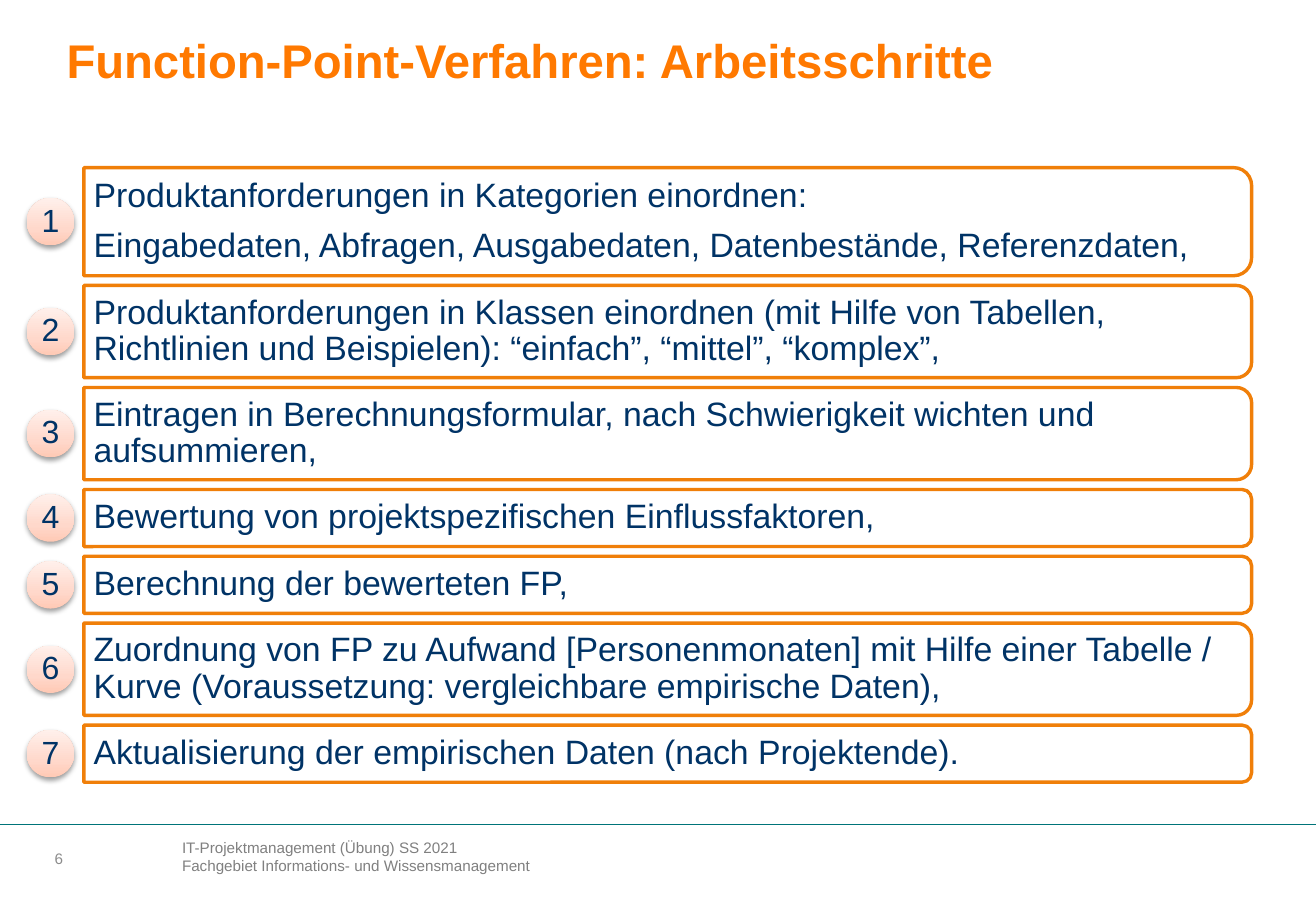
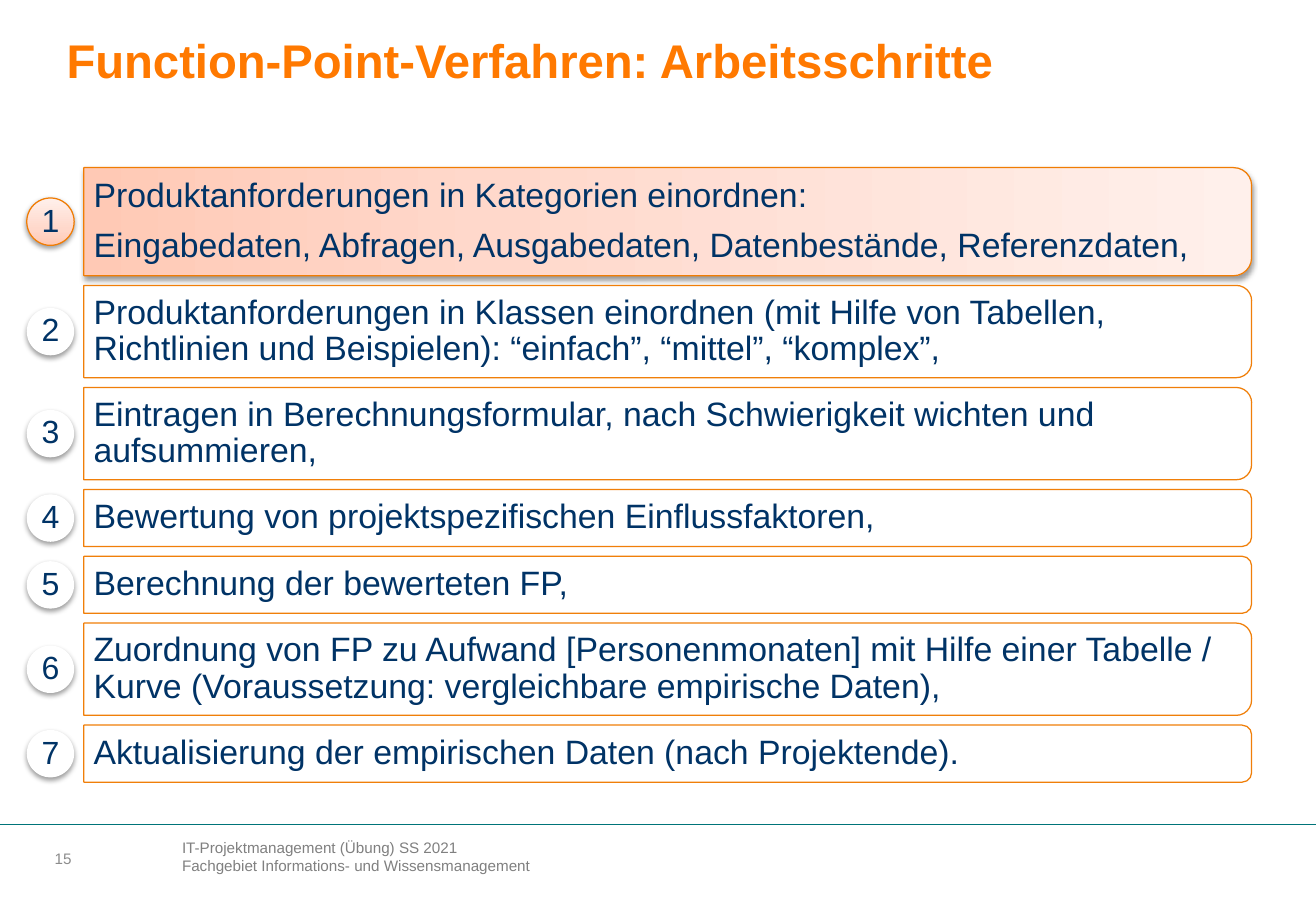
from copy import deepcopy

from lxml import etree
from pptx import Presentation
from pptx.dml.color import RGBColor
from pptx.enum.shapes import MSO_CONNECTOR, MSO_SHAPE
from pptx.enum.text import MSO_ANCHOR, PP_ALIGN
from pptx.oxml.ns import qn
from pptx.util import Inches, Pt

STRAIGHT = MSO_CONNECTOR.STRAIGHT
OVAL = MSO_SHAPE.OVAL
ROUNDED_TOP = MSO_SHAPE.ROUND_2_SAME_RECTANGLE
TOP, MIDDLE = MSO_ANCHOR.TOP, MSO_ANCHOR.MIDDLE
LEFT, CENTER = PP_ALIGN.LEFT, PP_ALIGN.CENTER

WHITE = RGBColor(0xFF, 0xFF, 0xFF)
TITLE_ORANGE = RGBColor(0xFF, 0x79, 0x00)
BAR_ORANGE = RGBColor(0xF0, 0x7F, 0x09)
ACTIVE_ORANGE = RGBColor(0xF0, 0x7C, 0x03)
NAVY = RGBColor(0x00, 0x33, 0x66)
TEAL = RGBColor(0x00, 0x74, 0x79)
FOOTER_GRAY = RGBColor(0x80, 0x80, 0x80)
NUMBER_GRAY = RGBColor(0x8C, 0x8C, 0x8C)
PEACH_STOPS = [
    (0, RGBColor(0xFF, 0xC9, 0xB5)),
    (0.35, RGBColor(0xFF, 0xD8, 0xCB)),
    (1, RGBColor(0xFF, 0xF0, 0xEB)),
]

FONT = "Arial"
SLIDE_WIDTH, SLIDE_HEIGHT = 10.83, 7.5
MARGIN = 0.45
FOOTER_TOP = 6.79
BAR_LEFT, BAR_WIDTH = 0.69, 9.61
FIRST_BAR_TOP, BAR_GAP = 1.38, 0.08
ONE_LINE, TWO_LINES, TWO_PARAGRAPHS = 0.47, 0.76, 0.89
BADGE_LEFT, BADGE_SIZE = 0.22, 0.39
STEP_INSETS = (0.08, 0.06)
STEP_SPACING = {"line_spacing": 0.9, "space_after": Pt(8)}

TITLE = "Function-Point-Verfahren: Arbeitsschritte"
FOOTER = [
    "IT-Projektmanagement (Übung) SS 2021",
    "Fachgebiet Informations- und Wissensmanagement",
]
STEPS = [
    (TWO_PARAGRAPHS, [
        "Produktanforderungen in Kategorien einordnen:",
        "Eingabedaten, Abfragen, Ausgabedaten, Datenbestände, Referenzdaten,",
    ]),
    (TWO_LINES, [
        "Produktanforderungen in Klassen einordnen (mit Hilfe von Tabellen, "
        "Richtlinien und Beispielen): “einfach”, “mittel”, “komplex”,",
    ]),
    (TWO_LINES, [
        "Eintragen in Berechnungsformular, nach Schwierigkeit wichten und "
        "aufsummieren,",
    ]),
    (ONE_LINE, ["Bewertung von projektspezifischen Einflussfaktoren,"]),
    (ONE_LINE, ["Berechnung der bewerteten FP,"]),
    (TWO_LINES, [
        "Zuordnung von FP zu Aufwand [Personenmonaten] mit Hilfe einer Tabelle / "
        "Kurve (Voraussetzung: vergleichbare empirische Daten),",
    ]),
    (ONE_LINE, ["Aktualisierung der empirischen Daten (nach Projektende)."]),
]


def write_text(shape, lines, size, color, bold=False, align=LEFT, anchor=MIDDLE,
               insets=(0, 0), line_spacing=None, space_after=None):
    frame = shape.text_frame
    frame.word_wrap = True
    frame.vertical_anchor = anchor
    frame.margin_left = frame.margin_right = Inches(insets[0])
    frame.margin_top = frame.margin_bottom = Inches(insets[1])
    frame.text = "\n".join(lines)
    for paragraph in frame.paragraphs:
        paragraph.alignment = align
        paragraph.line_spacing = line_spacing
        paragraph.space_after = space_after
        font = paragraph.font
        font.name, font.size, font.bold = FONT, Pt(size), bold
        font.color.rgb = color


def add_text(slide, box, lines, size, color, **style):
    shape = slide.shapes.add_textbox(*map(Inches, box))
    write_text(shape, lines, size, color, **style)


def add_plain_shape(slide, kind, box):
    shape = slide.shapes.add_shape(kind, *map(Inches, box))
    shape.shadow.inherit = False
    shape.line.fill.background()
    return shape


def fill_white(shape):
    shape.fill.solid()
    shape.fill.fore_color.rgb = WHITE


def fill_peach(shape):
    """Three-stop gradient, running from the shape's bottom to its top."""
    fill = shape.fill
    fill.gradient()
    fill.gradient_angle = 90
    stop_list = shape._element.spPr.find(f"{qn('a:gradFill')}/{qn('a:gsLst')}")
    stop_list.insert(1, deepcopy(stop_list[0]))
    for stop, (position, color) in zip(fill.gradient_stops, PEACH_STOPS):
        stop.position = position
        stop.color.rgb = color


def outline(shape, color, width):
    shape.line.color.rgb = color
    shape.line.width = Pt(width)


def cast_shadow(shape):
    effects = shape._element.spPr.find(qn("a:effectLst"))
    shadow = etree.SubElement(effects, qn("a:outerShdw"), blurRad=str(Pt(3.1)),
                              dist=str(Pt(1.6)), dir="5400000", rotWithShape="0")
    color = etree.SubElement(shadow, qn("a:srgbClr"), val="000000")
    etree.SubElement(color, qn("a:alpha"), val="38000")


def add_bar(slide, top, height, active, line_width):
    """Bar with rounded right corners: a rounded top turned by 90 degrees."""
    left = BAR_LEFT + (BAR_WIDTH - height) / 2
    upright_top = top + (height - BAR_WIDTH) / 2
    bar = add_plain_shape(slide, ROUNDED_TOP, (left, upright_top, height, BAR_WIDTH))
    bar.rotation = 90
    if active:
        fill_peach(bar)
        cast_shadow(bar)
    else:
        fill_white(bar)
    outline(bar, ACTIVE_ORANGE if active else BAR_ORANGE, line_width)


def add_badge(slide, number, middle, peach, active):
    box = (BADGE_LEFT, middle - BADGE_SIZE / 2, BADGE_SIZE, BADGE_SIZE)
    badge = add_plain_shape(slide, OVAL, box)
    if peach:
        fill_peach(badge)
    else:
        fill_white(badge)
    if active:
        outline(badge, ACTIVE_ORANGE, 0.75)
    cast_shadow(badge)
    write_text(badge, [str(number)], 19, NAVY, align=CENTER, **STEP_SPACING)


def add_steps(slide, active_step, line_width):
    """Numbered bars; with no active step, all badges are tinted."""
    top = FIRST_BAR_TOP
    for number, (height, lines) in enumerate(STEPS, start=1):
        active = number == active_step
        add_bar(slide, top, height, active, line_width)
        add_text(slide, (BAR_LEFT, top, BAR_WIDTH - 0.04, height), lines, 20, NAVY,
                 insets=STEP_INSETS, **STEP_SPACING)
        add_badge(slide, number, top + height / 2, active or not active_step, active)
        top += height + BAR_GAP


def add_frame(slide, page):
    """Title, footer rule, footer text and page number."""
    add_text(slide, (MARGIN, 0.18, 10.06, 0.63), [TITLE], 28, TITLE_ORANGE,
             bold=True, insets=(0.1, 0.05))
    rule = slide.shapes.add_connector(STRAIGHT, 0, Inches(FOOTER_TOP),
                                      Inches(SLIDE_WIDTH), Inches(FOOTER_TOP))
    outline(rule, TEAL, 0.5)
    etree.SubElement(rule._element.spPr, qn("a:effectLst"))
    add_text(slide, (1.4, FOOTER_TOP + 0.06, 6.06, 0.56), FOOTER, 9, FOOTER_GRAY,
             anchor=TOP, insets=(0.1, 0.05))
    add_text(slide, (MARGIN, FOOTER_TOP + 0.15, 0.72, 0.25), [str(page)], 9,
             NUMBER_GRAY)


def main():
    presentation = Presentation()
    presentation.slide_width = Inches(SLIDE_WIDTH)
    presentation.slide_height = Inches(SLIDE_HEIGHT)
    blank = presentation.slide_layouts[6]
    for page, active_step, line_width in [(6, None, 2), (15, 1, 0.75)]:
        slide = presentation.slides.add_slide(blank)
        add_frame(slide, page)
        add_steps(slide, active_step, line_width)
    presentation.save("out.pptx")


if __name__ == "__main__":
    main()
